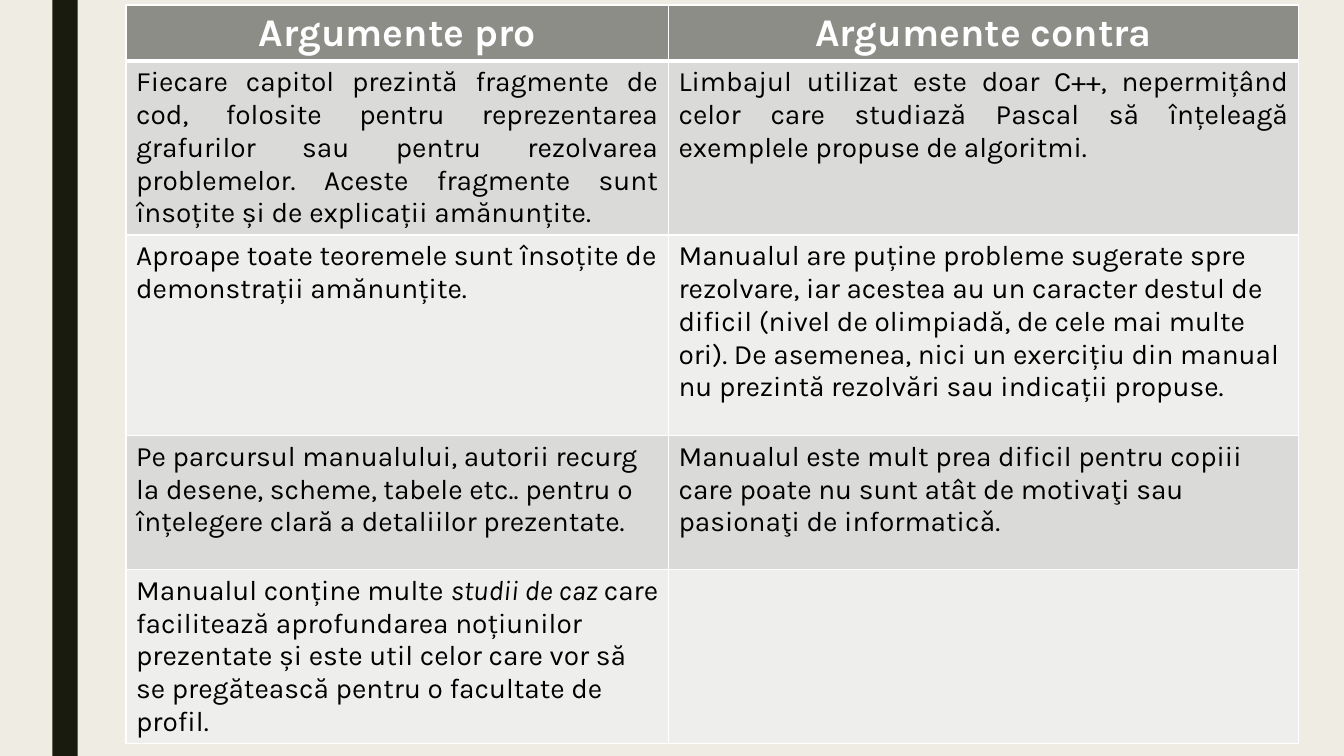
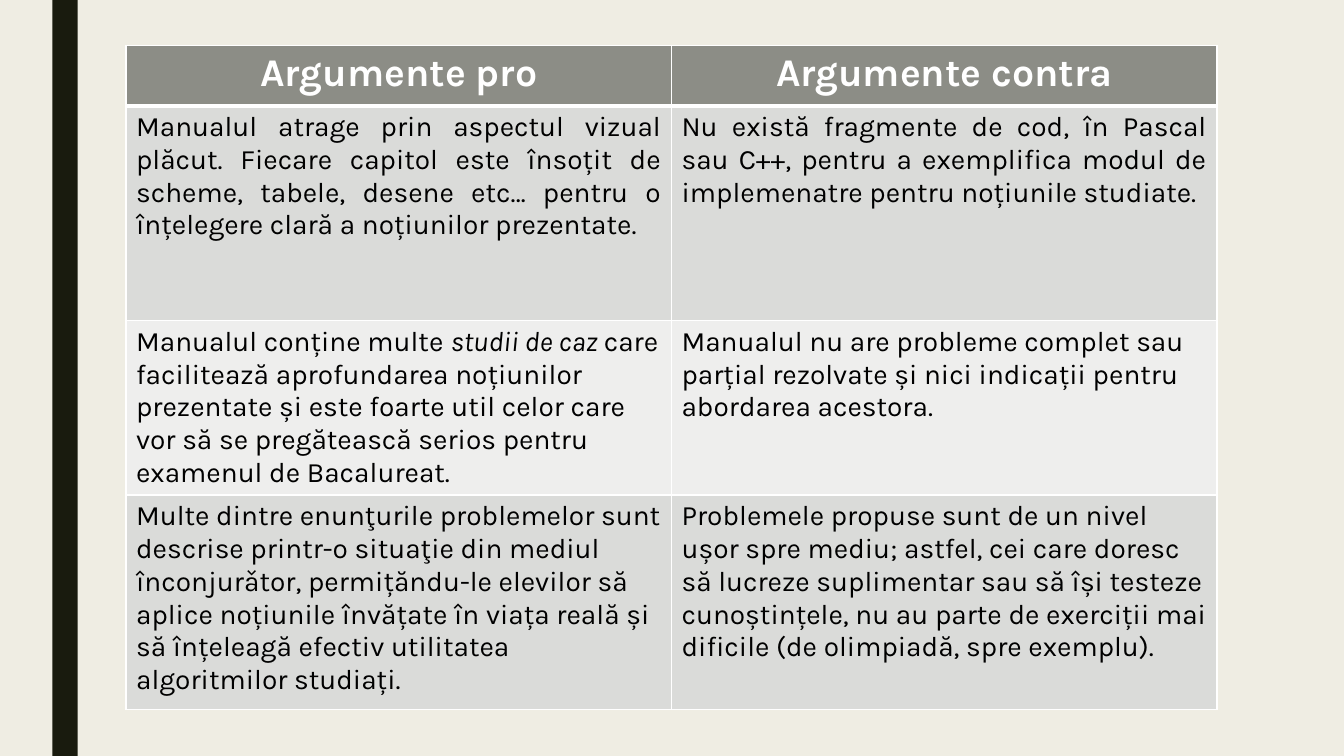
import pptx
import pptx.util
import pptx.dml.color
import pptx.enum.shapes
import pptx.enum.text
import pptx.oxml
import pptx.oxml.ns
from pptx.util import Inches

FONT = "Karla"
HEX = {
    "paper": "EFEDE3",
    "band": "191B0E",
    "head": "8C8D86",
    "dark": "DADBD9",
    "light": "EEEEED",
    "rule": "FFFFFF",
    "white": "FFFFFF",
    "black": "000000",
}
ALIGN = pptx.enum.text.PP_ALIGN
HEADS = ("Argumente pro", "Argumente contra")

# Text between asterisks is italic
FIRST = [
    HEADS,
    ("Fiecare capitol prezintă fragmente de cod, folosite pentru reprezentarea "
     "grafurilor sau pentru rezolvarea problemelor. Aceste fragmente sunt "
     "însoțite și de explicații amănunțite.",
     "Limbajul utilizat este doar C++, nepermițând celor care studiază Pascal "
     "să înțeleagă exemplele propuse de algoritmi."),
    ("Aproape toate teoremele sunt însoțite de demonstrații amănunțite.",
     "Manualul are puține probleme sugerate spre rezolvare, iar acestea au un "
     "caracter destul de dificil (nivel de olimpiadă, de cele mai multe ori). "
     "De asemenea, nici un exercițiu din manual nu prezintă rezolvări sau "
     "indicații propuse."),
    ("Pe parcursul manualului, autorii recurg la desene, scheme, tabele etc.. "
     "pentru o înțelegere clară a detaliilor prezentate.",
     "Manualul este mult prea dificil pentru copiii care poate nu sunt atât de "
     "motivaţi sau pasionaţi de informaticǎ."),
    ("Manualul conține multe *studii de caz *care facilitează aprofundarea "
     "noțiunilor prezentate și este util celor care vor să se pregătească "
     "pentru o facultate de profil.",
     ""),
]
SECOND = [
    HEADS,
    ("Manualul atrage prin aspectul vizual plăcut. Fiecare capitol este însoțit "
     "de scheme, tabele, desene etc… pentru o înțelegere clară a noțiunilor "
     "prezentate.",
     "Nu există fragmente de cod, în Pascal sau C++, pentru a exemplifica modul "
     "de implemenatre pentru noțiunile studiate."),
    ("Manualul conține multe *studii de caz *care facilitează aprofundarea "
     "noțiunilor prezentate și este foarte util celor care vor să se pregătească "
     "serios pentru examenul de Bacalureat.",
     "Manualul nu are probleme complet sau parțial rezolvate și nici indicații "
     "pentru abordarea acestora."),
    ("Multe dintre enunţurile problemelor sunt descrise printr-o situaţie din "
     "mediul înconjurǎtor, permițăndu-le elevilor să aplice noțiunile învățate "
     "în viața reală și să înțeleagă efectiv utilitatea algoritmilor studiați.",
     "Problemele propuse sunt de un nivel ușor spre mediu; astfel, cei care "
     "doresc să lucreze suplimentar sau să își testeze cunoștințele, nu au parte "
     "de exerciții mai dificile (de olimpiadă, spre exemplu)."),
]


def paint(fill, name):
    fill.solid()
    fill.fore_color.rgb = pptx.dml.color.RGBColor.from_string(HEX[name])


def add_page(deck):
    """Add a blank slide with the dark band at its left."""
    page = deck.slides.add_slide(deck.slide_layouts[6])
    band = page.shapes.add_shape(
        pptx.enum.shapes.MSO_SHAPE.RECTANGLE,
        Inches(0.52), 0, Inches(0.25), deck.slide_height)
    band.shadow.inherit = False
    paint(band.fill, "band")
    band.line.fill.background()
    return page


def set_rules(cell, row):
    """Draw white cell borders, thick below the header."""
    props = cell._tc.get_or_add_tcPr()
    wide = {"T": row == 1, "B": row == 0}
    for spot, side in enumerate("LRTB"):
        width = pptx.util.Pt(3 if wide.get(side) else 1)
        props.insert(spot, pptx.oxml.parse_xml(
            f'<a:ln{side} {pptx.oxml.ns.nsdecls("a")} w="{width}"><a:solidFill>'
            f'<a:srgbClr val="{HEX["rule"]}"/></a:solidFill></a:ln{side}>'))


def set_text(cell, text, row):
    para = cell.text_frame.paragraphs[0]
    para.alignment = {0: ALIGN.CENTER, 1: ALIGN.JUSTIFY}.get(row, ALIGN.LEFT)
    head = row == 0
    for part, words in enumerate(text.split("*")):
        if not words:
            continue
        run = para.add_run()
        run.text = words
        run.font.name = FONT
        run.font.size = pptx.util.Pt(28 if head else 20)
        run.font.bold = head
        run.font.italic = part % 2 == 1
        paint(run.font.fill, "white" if head else "black")


def add_grid(page, top, wide, tall, rows):
    """Add a table from column widths, row heights and cell texts."""
    grid = page.shapes.add_table(
        len(tall), len(wide), Inches(1.25), Inches(top),
        Inches(sum(wide)), Inches(sum(tall))).table
    for col, width in zip(grid.columns, wide):
        col.width = Inches(width)
    for line, height in zip(grid.rows, tall):
        line.height = Inches(height)
    for row, texts in enumerate(rows):
        tone = "head" if row == 0 else ("light", "dark")[row % 2]
        for col, text in enumerate(texts):
            cell = grid.cell(row, col)
            set_rules(cell, row)
            paint(cell.fill, tone)
            set_text(cell, text, row)


def main():
    deck = pptx.Presentation()
    deck.slide_width, deck.slide_height = Inches(13.33), Inches(7.5)
    paint(deck.slide_master.background.fill, "paper")

    # Arguments on the first textbook
    add_grid(add_page(deck), 0.05, (5.38, 6.25),
             (0.44, 1.67, 1.99, 1.33, 1.67), FIRST)

    # Arguments on the second textbook
    add_grid(add_page(deck), 0.45, (5.41, 5.41),
             (0.6, 2.13, 1.73, 2.13), SECOND)

    deck.save("out.pptx")


if __name__ == "__main__":
    main()
